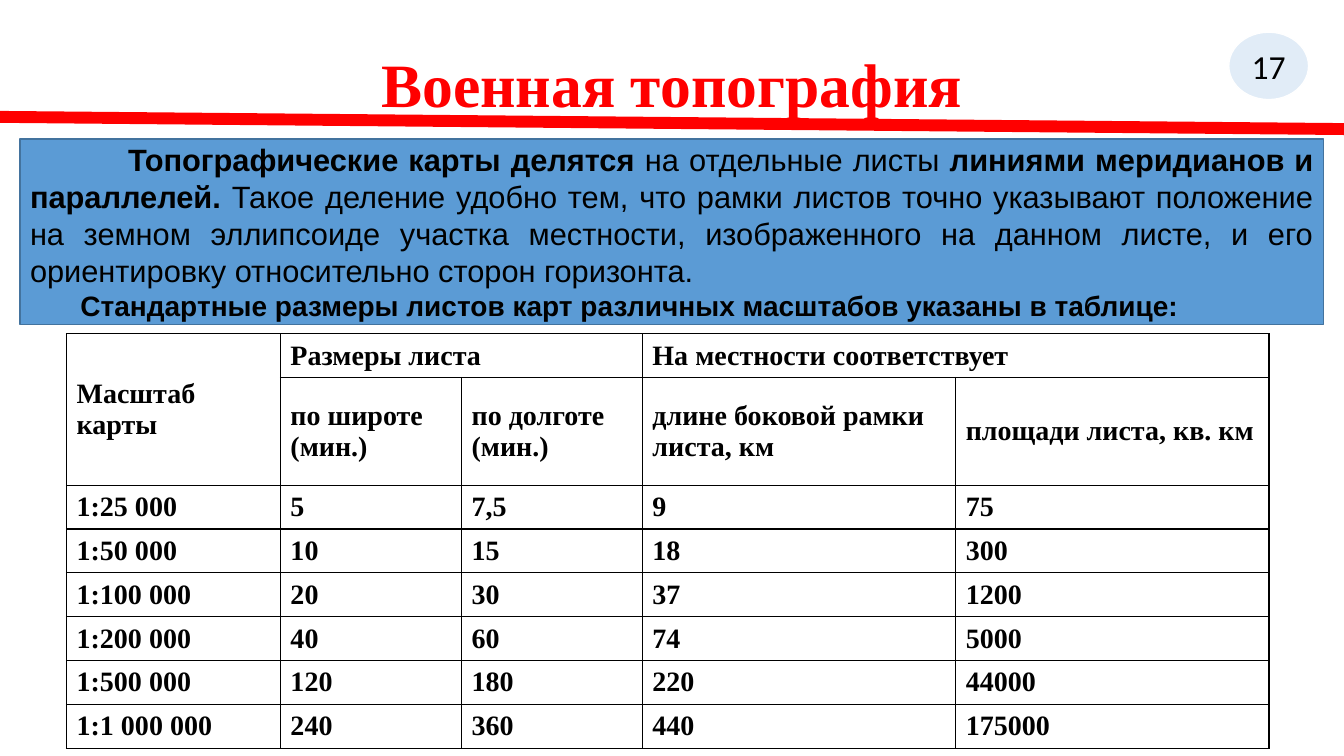
"""Builds a slide on map sheet sizes with a banner and a table."""
import lxml.etree
import pptx
import pptx.dml.color
import pptx.enum.shapes
import pptx.enum.text
import pptx.oxml.ns
import pptx.util

Pt = pptx.util.Pt
RGBColor = pptx.dml.color.RGBColor
Align = pptx.enum.text.PP_ALIGN
Anchor = pptx.enum.text.MSO_ANCHOR
Shape = pptx.enum.shapes.MSO_SHAPE
qn = pptx.oxml.ns.qn

RED = RGBColor(0xFF, 0x00, 0x00)
BLUE = RGBColor(0x5B, 0x9B, 0xD5)
DARK_BLUE = RGBColor(0x43, 0x73, 0x9E)
BLACK = RGBColor(0x00, 0x00, 0x00)
WHITE = RGBColor(0xFF, 0xFF, 0xFF)

BANNER = [
    (70, 22, [
        ("Топографические карты делятся ", True),
        ("на отдельные листы ", False),
        ("линиями меридианов и параллелей.", True),
        (" Такое деление удобно тем, что рамки листов точно указывают положение "
         "на земном эллипсоиде участка местности, изображенного на данном листе, "
         "и его ориентировку относительно сторон горизонта.", False),
    ]),
    (36, 20, [
        ("Стандартные размеры листов карт различных масштабов указаны в таблице:", True),
    ]),
]

COLUMN_WIDTHS = [152.8, 129.4, 129.2, 223.8, 223.8]
ROW_HEIGHT = 31.3
SUBHEAD_HEIGHT = 77
SHEET_SIZES = [
    ["Масштаб карты", "Размеры листа", "", "На местности соответствует", ""],
    ["", "по широте (мин.)", "по долготе (мин.)",
     "длине боковой рамки листа, км", "площади листа, кв. км"],
    ["1:25 000", "5", "7,5", "9", "75"],
    ["1:50 000", "10", "15", "18", "300"],
    ["1:100 000", "20", "30", "37", "1200"],
    ["1:200 000", "40", "60", "74", "5000"],
    ["1:500 000", "120", "180", "220", "44000"],
    ["1:1 000 000", "240", "360", "440", "175000"],
]
MERGES = [((0, 0), (1, 0)), ((0, 1), (0, 2)), ((0, 3), (0, 4))]


def style_font(font, name, size, color, bold=None):
    """Set the face, size, colour and weight of a font."""
    font.name = name
    font.size = Pt(size)
    font.color.rgb = color
    font.bold = bold


def add_title(page, text):
    """Add the centred slide title."""
    box = page.shapes.add_textbox(Pt(66), Pt(28.8), Pt(828), Pt(67))
    frame = box.text_frame
    frame.word_wrap = True
    frame.vertical_anchor = Anchor.MIDDLE
    para = frame.paragraphs[0]
    para.text = text
    para.alignment = Align.CENTER
    para.line_spacing = 0.9
    style_font(para.font, "Times New Roman", 44, RED, True)


def add_rule(page):
    """Add the thick sloping line under the title."""
    rule = page.shapes.add_connector(
        pptx.enum.shapes.MSO_CONNECTOR.STRAIGHT, Pt(0), Pt(83.5), Pt(960), Pt(92.2))
    rule.line.color.rgb = RED
    rule.line.width = Pt(8.5)
    lxml.etree.SubElement(rule._element.spPr, qn("a:effectLst"))


def add_panel(page, kind, left, top, width, height, outline):
    """Add a blue shape with a thin outline and middle-anchored text."""
    panel = page.shapes.add_shape(kind, Pt(left), Pt(top), Pt(width), Pt(height))
    panel.shadow.inherit = False
    panel.fill.solid()
    panel.fill.fore_color.rgb = BLUE
    panel.line.color.rgb = outline
    panel.line.width = Pt(1)
    panel.text_frame.word_wrap = True
    panel.text_frame.vertical_anchor = Anchor.MIDDLE
    return panel


def add_page_number(page, number):
    """Add the pale ellipse that holds the slide number."""
    badge = add_panel(page, Shape.OVAL, 877.7, 23, 57, 48.2, WHITE)
    color = badge._element.spPr.find(qn("a:solidFill")).find(qn("a:srgbClr"))
    lxml.etree.SubElement(color, qn("a:alpha")).set("val", "18000")
    para = badge.text_frame.paragraphs[0]
    para.text = number
    para.alignment = Align.CENTER
    style_font(para.font, "Calibri", 24, BLACK)


def add_banner(page, paragraphs):
    """Add the blue box with justified paragraphs of mixed weight."""
    frame = add_panel(page, Shape.RECTANGLE, 14.4, 99.4, 931, 132.4, DARK_BLUE).text_frame
    for index, (indent, size, spans) in enumerate(paragraphs):
        para = frame.add_paragraph() if index else frame.paragraphs[0]
        para.alignment = Align.JUSTIFY
        para._p.get_or_add_pPr().set("indent", str(Pt(indent)))
        style_font(para.font, "Arial", size, BLACK)
        for text, bold in spans:
            span = para.add_run()
            span.text = text
            span.font.bold = bold


def add_borders(cell):
    """Draw thin black lines on all four sides of a cell."""
    properties = cell._tc.get_or_add_tcPr()
    for side in ("a:lnL", "a:lnR", "a:lnT", "a:lnB"):
        border = lxml.etree.SubElement(properties, qn(side), w=str(Pt(1)))
        fill = lxml.etree.SubElement(border, qn("a:solidFill"))
        lxml.etree.SubElement(fill, qn("a:srgbClr"), val=str(BLACK))


def add_sheet_table(page, rows):
    """Add the bordered table of sheet sizes."""
    heights = [SUBHEAD_HEIGHT if index == 1 else ROW_HEIGHT for index in range(len(rows))]
    table = page.shapes.add_table(
        len(rows), len(COLUMN_WIDTHS), Pt(47.5), Pt(238.3),
        Pt(sum(COLUMN_WIDTHS)), Pt(sum(heights))).table
    table.first_row = False
    table.horz_banding = False
    for column, width in zip(table.columns, COLUMN_WIDTHS):
        column.width = Pt(width)
    for row, height, texts in zip(table.rows, heights, rows):
        row.height = Pt(height)
        for cell, text in zip(row.cells, texts):
            add_borders(cell)
            cell.fill.background()
            cell.vertical_anchor = Anchor.MIDDLE
            para = cell.text_frame.paragraphs[0]
            para.text = text
            style_font(para.font, "Times New Roman", 20, BLACK, True)
    for first, last in MERGES:
        table.cell(*first).merge(table.cell(*last))


def main():
    """Build the slide and save it."""
    deck = pptx.Presentation()
    deck.slide_width = Pt(960)
    deck.slide_height = Pt(540)
    page = deck.slides.add_slide(deck.slide_layouts[6])
    add_title(page, "Военная топография")
    add_rule(page)
    add_page_number(page, "17")
    add_banner(page, BANNER)
    add_sheet_table(page, SHEET_SIZES)
    deck.save("out.pptx")


if __name__ == "__main__":
    main()
